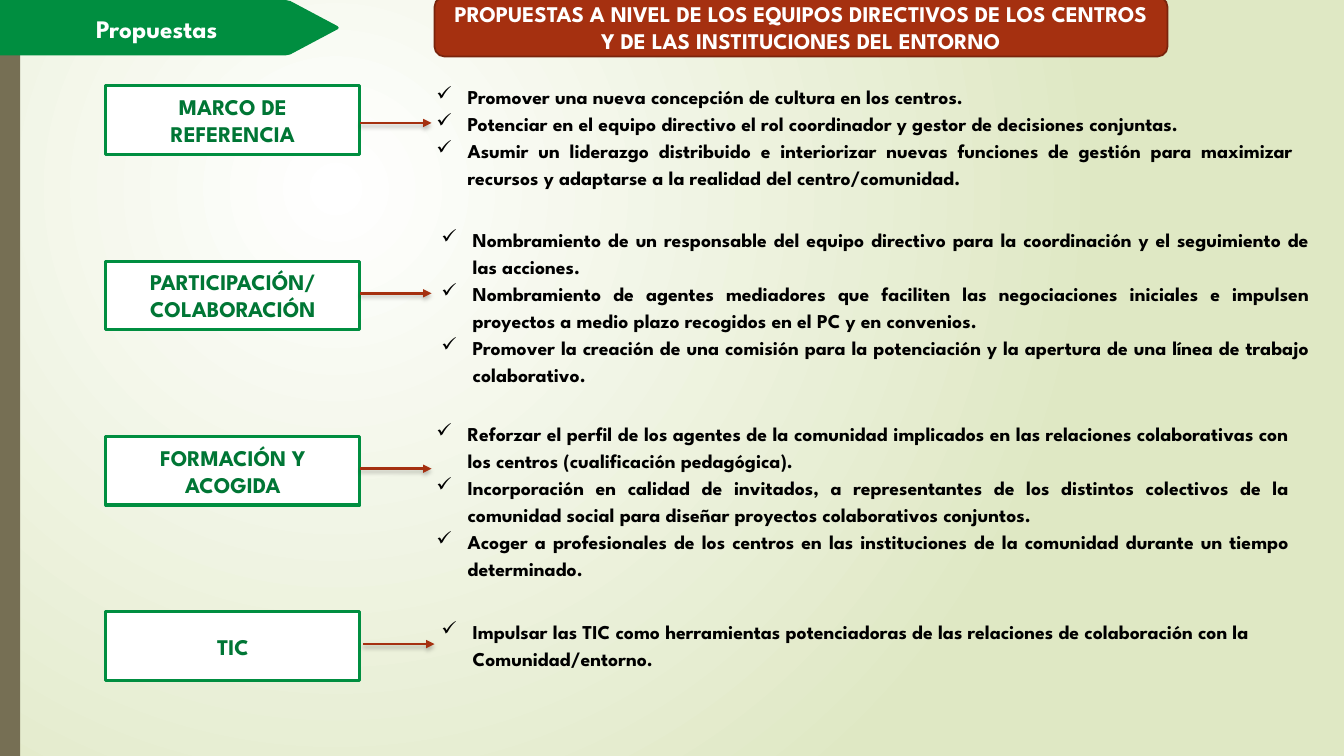
from dataclasses import dataclass

from lxml.etree import SubElement
from pptx import Presentation
from pptx.dml.color import RGBColor
from pptx.enum.shapes import MSO_CONNECTOR, MSO_SHAPE
from pptx.enum.text import MSO_ANCHOR, MSO_AUTO_SIZE, PP_ALIGN
from pptx.oxml.ns import qn
from pptx.util import Inches, Pt


@dataclass(frozen=True)
class Theme:
    font: str = "League Spartan"
    white: str = "FFFFFF"
    black: str = "000000"
    pale: str = "DFE8C4"
    olive: str = "766F54"
    green: str = "008E40"
    forest: str = "007635"
    rust: str = "A53010"
    maroon: str = "7A240C"
    title: int = 18
    head: int = 16
    body: int = 14


THEME = Theme()

ROWS = [
    ("MARCO DE REFERENCIA", (3.57, 1.22), (4.23, 0.76, 8.7, 1.18), PP_ALIGN.JUSTIFY, [
        "Promover una nueva concepción de cultura en los centros.",
        "Potenciar en el equipo directivo el rol coordinador y gestor de decisiones conjuntas.",
        "Asumir un liderazgo distribuido e interiorizar nuevas funciones de gestión para "
        "maximizar recursos y adaptarse a la realidad del centro/comunidad.",
    ]),
    ("PARTICIPACIÓN/\nCOLABORACIÓN", (3.57, 2.91), (4.28, 2.18, 8.81, 1.73), PP_ALIGN.JUSTIFY, [
        "Nombramiento de un responsable del equipo directivo para la coordinación y el "
        "seguimiento de las acciones.",
        "Nombramiento de agentes mediadores que faciliten las negociaciones iniciales e "
        "impulsen proyectos a medio plazo recogidos en el PC y en convenios.",
        "Promover la creación de una comisión para la potenciación y la apertura de una "
        "línea de trabajo colaborativo.",
    ]),
    ("FORMACIÓN Y ACOGIDA", (3.57, 4.65), (4.23, 4.1, 8.66, 1.73), PP_ALIGN.JUSTIFY, [
        "Reforzar el perfil de los agentes de la comunidad implicados en las relaciones "
        "colaborativas con los centros (cualificación pedagógica).",
        "Incorporación en calidad de invitados, a representantes de los distintos colectivos "
        "de la comunidad social para diseñar proyectos colaborativos conjuntos.",
        "Acoger a profesionales de los centros en las instituciones de la comunidad durante "
        "un tiempo determinado.",
    ]),
    ("TIC", (3.6, 6.39), (4.28, 6.07, 8.84, 0.64), PP_ALIGN.LEFT, [
        "Impulsar las TIC como herramientas potenciadoras de las relaciones de colaboración "
        "con la Comunidad/entorno.",
    ]),
]


def color(code):
    return RGBColor.from_string(code)


def place(box):
    return [Inches(side) for side in box]


def paint(shape, fill, edge=None, width=0):
    shape.shadow.inherit = False
    shape.fill.solid()
    shape.fill.fore_color.rgb = color(fill)
    if edge:
        shape.line.color.rgb = color(edge)
        shape.line.width = Pt(width)
    else:
        shape.line.fill.background()


def write(shape, text, size, ink, align=PP_ALIGN.CENTER):
    frame = shape.text_frame
    frame.word_wrap = True
    frame.text = text
    for para in frame.paragraphs:
        para.alignment = align
        for run in para.runs:
            run.font.name = THEME.font
            run.font.size = Pt(size)
            run.font.bold = True
            run.font.color.rgb = color(ink)
    return frame


def add_label(slide, box, text, size, ink):
    label = slide.shapes.add_textbox(*place(box))
    frame = write(label, text, size, ink)
    frame.auto_size = MSO_AUTO_SIZE.SHAPE_TO_FIT_TEXT


def add_panel(slide, kind, box, text, fill, edge, width, ink):
    panel = slide.shapes.add_shape(kind, *place(box))
    paint(panel, fill, edge, width)
    write(panel, text, THEME.head, ink).vertical_anchor = MSO_ANCHOR.MIDDLE


def add_back(slide):
    fill = slide.background.fill
    fill.gradient()
    for stop, code in zip(fill.gradient_stops, (THEME.white, THEME.pale)):
        stop.color.rgb = color(code)
    grad = slide.element.find(".//" + qn("a:gradFill"))
    grad.remove(grad.find(qn("a:lin")))
    ring = SubElement(grad, qn("a:path"), path="circle")
    SubElement(ring, qn("a:fillToRect"), l="50000", t="50000", r="100000", b="100000")


def add_side(slide, box):
    side = slide.shapes.add_shape(MSO_SHAPE.RECTANGLE, *place(box))
    paint(side, THEME.olive)


def add_tag(slide, box, text):
    left, top, width, height = box
    tip, bend = left + width, left + width - 0.48
    points = [(bend - 0.05, top), (bend, top + 0.01), (tip - 0.01, top + 0.26),
              (tip, top + 0.275), (tip - 0.01, top + 0.29), (bend, top + height - 0.01),
              (bend - 0.05, top + height), (left, top + height)]
    build = slide.shapes.build_freeform(Inches(left), Inches(top))
    build.add_line_segments([place(point) for point in points], close=True)
    paint(build.convert_to_shape(), THEME.green)
    add_label(slide, (left - 0.05, top + 0.08, 3.21, 0.4), text, THEME.title, THEME.white)


def add_arrow(slide, start, length):
    x, y = start
    arrow = slide.shapes.add_connector(
        MSO_CONNECTOR.STRAIGHT, *place((x, y, x + length, y)))
    arrow.line.color.rgb = color(THEME.rust)
    arrow.line.width = Pt(1.75)
    props = arrow.element.spPr
    SubElement(props.find(qn("a:ln")), qn("a:tailEnd"), type="triangle")
    effects = SubElement(props, qn("a:effectLst"))
    shade = SubElement(effects, qn("a:outerShdw"), blurRad=str(Pt(3)), dist=str(Pt(2)),
                       dir="5400000", rotWithShape="0")
    tint = SubElement(shade, qn("a:srgbClr"), val=THEME.black)
    SubElement(tint, qn("a:alpha"), val="25000")


def add_list(slide, box, items, align):
    area = slide.shapes.add_textbox(*place(box))
    frame = write(area, "\n".join(items), THEME.body, THEME.black, align)
    frame.auto_size = MSO_AUTO_SIZE.SHAPE_TO_FIT_TEXT
    for para in frame.paragraphs:
        para.line_spacing = 1.15
        props = para._p.get_or_add_pPr()
        props.set("marL", str(Inches(0.31)))
        props.set("indent", str(Inches(-0.31)))
        SubElement(props, qn("a:buChar"), char="✓")


def add_row(slide, box, row):
    title, start, area, align, items = row
    add_panel(slide, MSO_SHAPE.RECTANGLE, box, title,
              THEME.white, THEME.green, 2.25, THEME.forest)
    add_arrow(slide, start, 0.71)
    add_list(slide, area, items, align)


def main():
    deck = Presentation()
    deck.slide_width, deck.slide_height = Inches(13.33), Inches(7.5)
    slide = deck.slides.add_slide(deck.slide_layouts[6])
    add_back(slide)
    add_side(slide, (0, 0, 0.2, 7.5))
    add_tag(slide, (0, 0, 3.36, 0.55), "Propuestas")
    add_panel(slide, MSO_SHAPE.ROUNDED_RECTANGLE, (4.31, -0.03, 7.27, 0.59),
              "PROPUESTAS A NIVEL DE LOS EQUIPOS DIRECTIVOS DE LOS CENTROS "
              "Y DE LAS INSTITUCIONES DEL ENTORNO",
              THEME.rust, THEME.maroon, 1.25, THEME.white)
    for index, row in enumerate(ROWS):
        add_row(slide, (1.05, 0.85 + 1.74 * index, 2.52, 0.68), row)
    deck.save("out.pptx")


if __name__ == "__main__":
    main()
